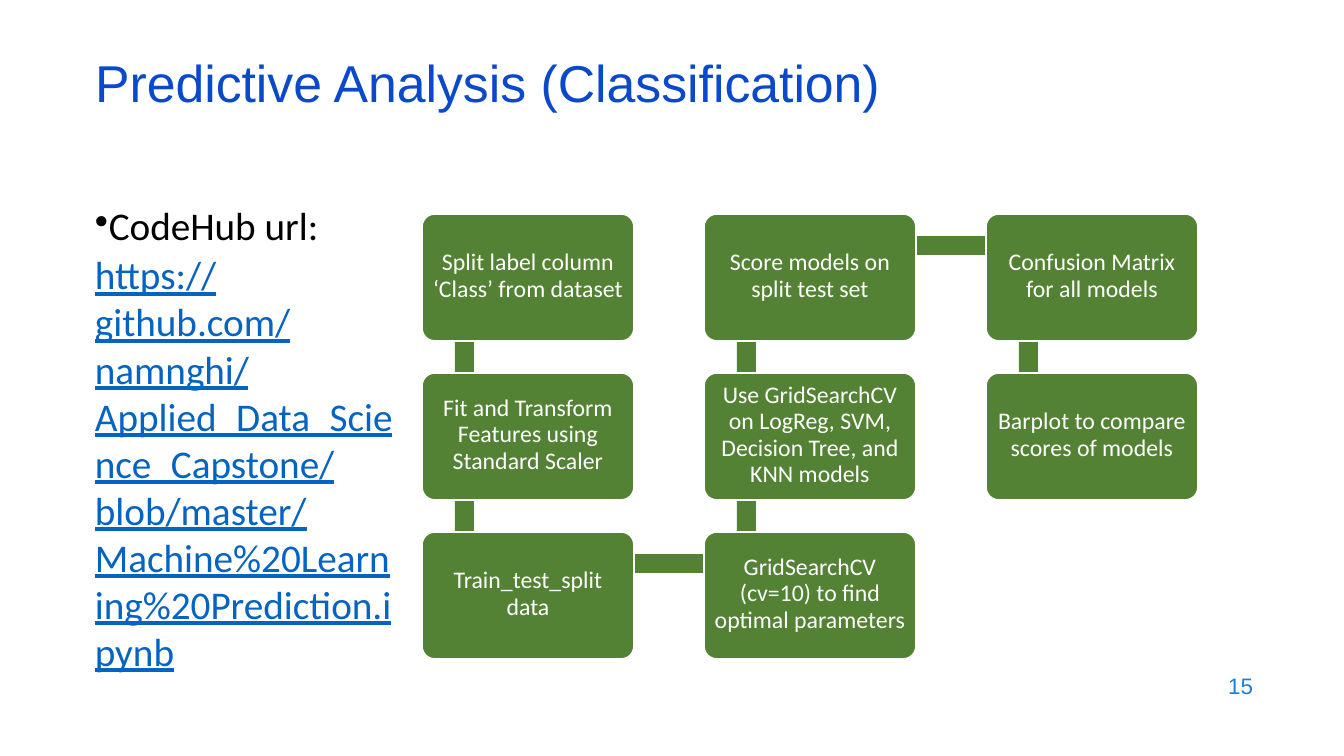
"""Build the predictive analysis slide: a link and a snaking flow of eight steps."""
from lxml import etree
from pptx import Presentation, util as u
from pptx.dml.color import RGBColor
from pptx.enum import shapes, text
from pptx.oxml.ns import qn

PX = 914400 / 100.8
GREEN = RGBColor(0x54, 0x82, 0x35)
WHITE = RGBColor(0xFF, 0xFF, 0xFF)
BLACK = RGBColor(0x00, 0x00, 0x00)
TITLE_BLUE = RGBColor(0x0B, 0x49, 0xCB)
NUMBER_BLUE = RGBColor(0x1C, 0x7D, 0xDB)
LINK_BLUE = RGBColor(0x05, 0x63, 0xC1)

BOX_LEFT, BOX_TOP, BOX_WIDTH, BOX_HEIGHT = 422, 214, 212, 127
COLUMN_STEP, ROW_STEP = 282, 159
BAR = 19


def px(*lengths):
    return [u.Emu(round(length * PX)) for length in lengths]


def write(paragraph, words, color, font_format, paragraph_format):
    paragraph.text = words
    for name, value in paragraph_format.items():
        setattr(paragraph, name, value)
    for run in paragraph.runs:
        run.font.color.rgb = color
        for name, value in font_format.items():
            setattr(run.font, name, value)


presentation = Presentation()
presentation.slide_width, presentation.slide_height = px(1344, 756)
slide = presentation.slides.add_slide(presentation.slide_layouts[5])

title = slide.shapes.title
title.left, title.top, title.width, title.height = px(85, 59, 1159, 60)
title.text_frame.vertical_anchor = text.MSO_ANCHOR.MIDDLE
write(title.text_frame.paragraphs[0], "Predictive Analysis (Classification)", TITLE_BLUE,
      {"name": "Arial", "size": u.Pt(37)},
      {"alignment": text.PP_ALIGN.LEFT, "line_spacing": 0.7})

number = slide.shapes.add_textbox(*px(961, 664, 302, 44))
number.text_frame.word_wrap = True
number.text_frame.vertical_anchor = text.MSO_ANCHOR.MIDDLE
write(number.text_frame.paragraphs[0], "15", NUMBER_BLUE,
      {"name": "Arial", "size": u.Pt(16)}, {"alignment": text.PP_ALIGN.RIGHT})

link = slide.shapes.add_textbox(*px(85, 202, 319, 480))
link.text_frame.word_wrap = True
label = link.text_frame.paragraphs[0]
properties = label._p.get_or_add_pPr()
indent = px(13)[0]
properties.set("marL", str(indent))
properties.set("indent", str(-indent))
etree.SubElement(properties, qn("a:buChar")).set("char", "•")
link_font = {"name": "Calibri", "size": u.Pt(28)}
write(label, "CodeHub url:", BLACK, link_font, {"line_spacing": 0.9})
write(link.text_frame.add_paragraph(),
      "https://github.com/namnghi/Applied_Data_Science_Capstone/blob/master/"
      "Machine%20Learning%20Prediction.ipynb",
      LINK_BLUE, {**link_font, "underline": True}, {"space_before": u.Pt(1)})

vertical_bars = [(0, 0), (0, 1), (1, 1), (1, 0), (2, 0)]
horizontal_bars = [(0, 2), (1, 0)]
bars = [(455 + column * COLUMN_STEP, 246 + row * ROW_STEP, BAR, 157)
        for column, row in vertical_bars]
bars += [(466 + column * COLUMN_STEP, 236 + row * ROW_STEP, 281, BAR)
         for column, row in horizontal_bars]
for bounds in bars:
    bar = slide.shapes.add_shape(shapes.MSO_SHAPE.RECTANGLE, *px(*bounds))
    bar.shadow.inherit = False
    bar.fill.solid()
    bar.fill.fore_color.rgb = GREEN
    bar.line.fill.background()

steps = [
    (0, 0, "Split label column\n‘Class’ from dataset"),
    (0, 1, "Fit and Transform\nFeatures using\nStandard Scaler"),
    (0, 2, "Train_test_split\ndata"),
    (1, 2, "GridSearchCV\n(cv=10) to find\noptimal parameters"),
    (1, 1, "Use GridSearchCV\non LogReg, SVM,\nDecision Tree, and\nKNN models"),
    (1, 0, "Score models on\nsplit test set"),
    (2, 0, "Confusion Matrix\nfor all models"),
    (2, 1, "Barplot to compare\nscores of models"),
]
frame_format = {"margin_left": 0, "margin_right": 0, "margin_top": 0,
                "margin_bottom": px(4)[0], "word_wrap": True,
                "vertical_anchor": text.MSO_ANCHOR.MIDDLE}
for column, row, words in steps:
    box = slide.shapes.add_shape(
        shapes.MSO_SHAPE.ROUNDED_RECTANGLE,
        *px(BOX_LEFT + column * COLUMN_STEP, BOX_TOP + row * ROW_STEP, BOX_WIDTH, BOX_HEIGHT))
    box.adjustments[0] = 0.1
    box.shadow.inherit = False
    box.fill.solid()
    box.fill.fore_color.rgb = GREEN
    box.line.color.rgb = WHITE
    box.line.width = u.Pt(1.2)
    for name, value in frame_format.items():
        setattr(box.text_frame, name, value)
    write(box.text_frame.paragraphs[0], words, WHITE,
          {"name": "Calibri", "size": u.Pt(17)},
          {"alignment": text.PP_ALIGN.CENTER, "line_spacing": u.Pt(19)})

presentation.save("out.pptx")
